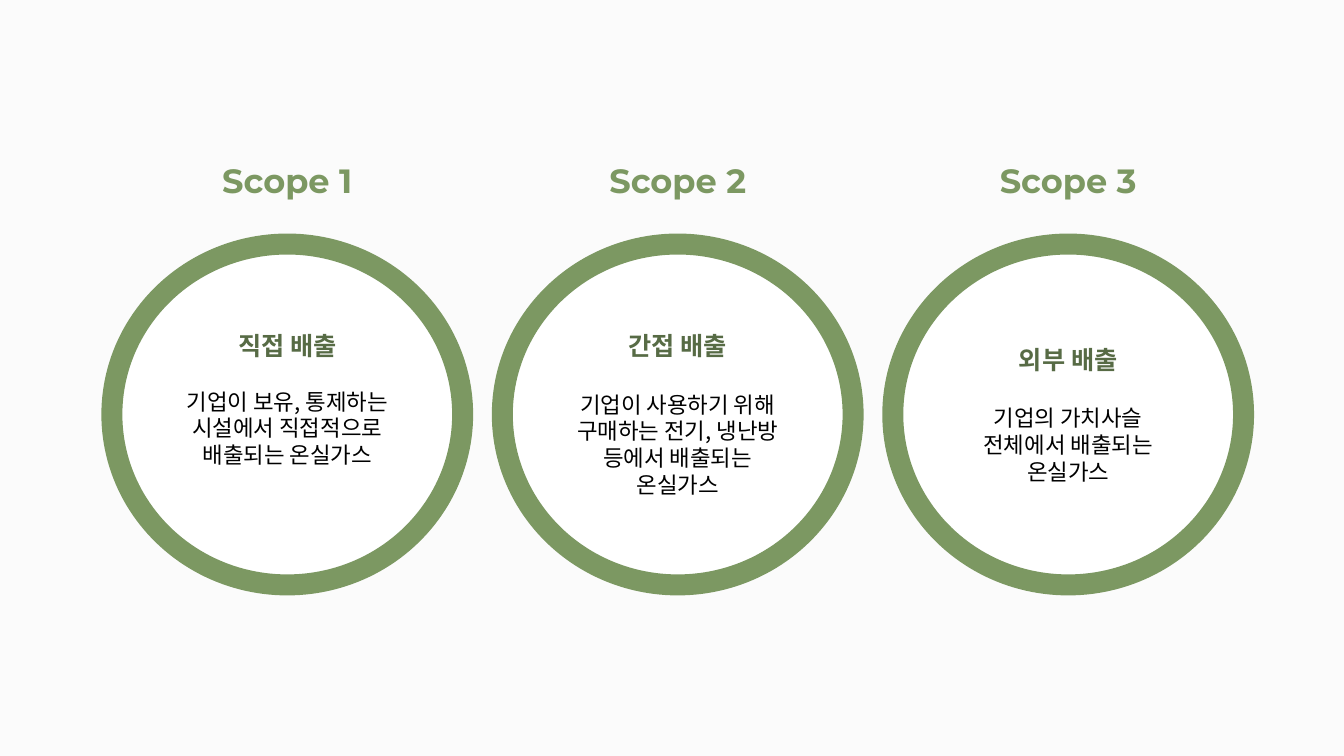
from dataclasses import dataclass

from lxml.etree import SubElement
from pptx import Presentation
from pptx.dml.color import RGBColor
from pptx.enum.shapes import MSO_SHAPE
from pptx.enum.text import MSO_ANCHOR, PP_ALIGN
from pptx.oxml.ns import qn
from pptx.slide import Slide
from pptx.text.text import TextFrame
from pptx.util import Cm, Pt


@dataclass(frozen=True)
class Theme:
    """Colours, fonts and type sizes of the slide."""

    background: RGBColor = RGBColor(0xFB, 0xFB, 0xFB)
    circle_fill: RGBColor = RGBColor(0xFF, 0xFF, 0xFF)
    green: RGBColor = RGBColor(0x7C, 0x98, 0x62)
    dark_green: RGBColor = RGBColor(0x57, 0x6B, 0x45)
    black: RGBColor = RGBColor(0, 0, 0)
    label_font: str = "Montserrat"
    body_font: str = "Noto Sans CJK KR"
    label_size: float = 24
    heading_size: float = 18
    body_size: float = 16
    ring_width: float = 15


@dataclass(frozen=True)
class Scope:
    """One emission scope and its description."""

    label: str
    heading: str
    body: tuple[str, ...]
    heading_gap: float = 21.4
    bottom_inset: float = 0.13


THEME = Theme()
SCOPES = (
    Scope("Scope 1", "직접 배출", ("기업이 보유, 통제하는 시설에서 직접적으로 배출되는 온실가스",),
          heading_gap=19.2, bottom_inset=0.88),
    Scope("Scope 2", "간접 배출",
          ("기업이 사용하기 위해 구매하는 전기, 냉난방 등에서 배출되는", "온실가스")),
    Scope("Scope 3", "외부 배출", ("기업의 가치사슬", "전체에서 배출되는", "온실가스")),
)
FIRST_LEFT, PITCH = 2.82, 9.84
CIRCLE_TOP, CIRCLE_WIDTH, CIRCLE_HEIGHT = 6.15, 8.84, 8.59
LABEL_TOP, LABEL_WIDTH, LABEL_HEIGHT = 3.91, 4.95, 1.27


def add_text(frame: TextFrame, text: str, *, font: str, size: float, color: RGBColor,
             bold: bool = False, space_after: float = 0) -> None:
    """Add a centred paragraph, using the frame's first one while it is empty."""
    first = frame.paragraphs[0]
    paragraph = frame.add_paragraph() if first.runs else first
    paragraph.alignment = PP_ALIGN.CENTER
    paragraph.space_after = Pt(space_after)
    run = paragraph.add_run()
    run.text = text
    run.font.name = font
    run.font.size = Pt(size)
    run.font.bold = bold
    run.font.color.rgb = color
    SubElement(run.font._element, qn("a:ea"), typeface=font)


def add_label(slide: Slide, scope: Scope, center: float) -> None:
    """Draw the scope label above its circle."""
    label = slide.shapes.add_textbox(Cm(center - LABEL_WIDTH / 2), Cm(LABEL_TOP),
                                     Cm(LABEL_WIDTH), Cm(LABEL_HEIGHT))
    label.text_frame.word_wrap = True
    add_text(label.text_frame, scope.label, font=THEME.label_font,
             size=THEME.label_size, color=THEME.green, bold=True)


def add_circle(slide: Slide, scope: Scope, left: float) -> None:
    """Draw a ringed circle with the scope's heading and description."""
    circle = slide.shapes.add_shape(MSO_SHAPE.OVAL, Cm(left), Cm(CIRCLE_TOP),
                                    Cm(CIRCLE_WIDTH), Cm(CIRCLE_HEIGHT))
    circle.shadow.inherit = False
    circle.fill.solid()
    circle.fill.fore_color.rgb = THEME.circle_fill
    circle.line.color.rgb = THEME.green
    circle.line.width = Pt(THEME.ring_width)
    frame = circle.text_frame
    frame.word_wrap = True
    frame.vertical_anchor = MSO_ANCHOR.MIDDLE
    frame.margin_bottom = Cm(scope.bottom_inset)
    add_text(frame, scope.heading, font=THEME.body_font, size=THEME.heading_size,
             color=THEME.dark_green, bold=True, space_after=scope.heading_gap)
    for text in scope.body:
        add_text(frame, text, font=THEME.body_font, size=THEME.body_size, color=THEME.black)


def main() -> None:
    """Build the slide and save it."""
    presentation = Presentation()
    presentation.slide_width, presentation.slide_height = Cm(33.87), Cm(19.05)
    slide = presentation.slides.add_slide(presentation.slide_layouts[6])
    slide.background.fill.solid()
    slide.background.fill.fore_color.rgb = THEME.background
    for index, scope in enumerate(SCOPES):
        left = FIRST_LEFT + index * PITCH
        add_circle(slide, scope, left)
        add_label(slide, scope, left + CIRCLE_WIDTH / 2)
    presentation.save("out.pptx")


if __name__ == "__main__":
    main()
